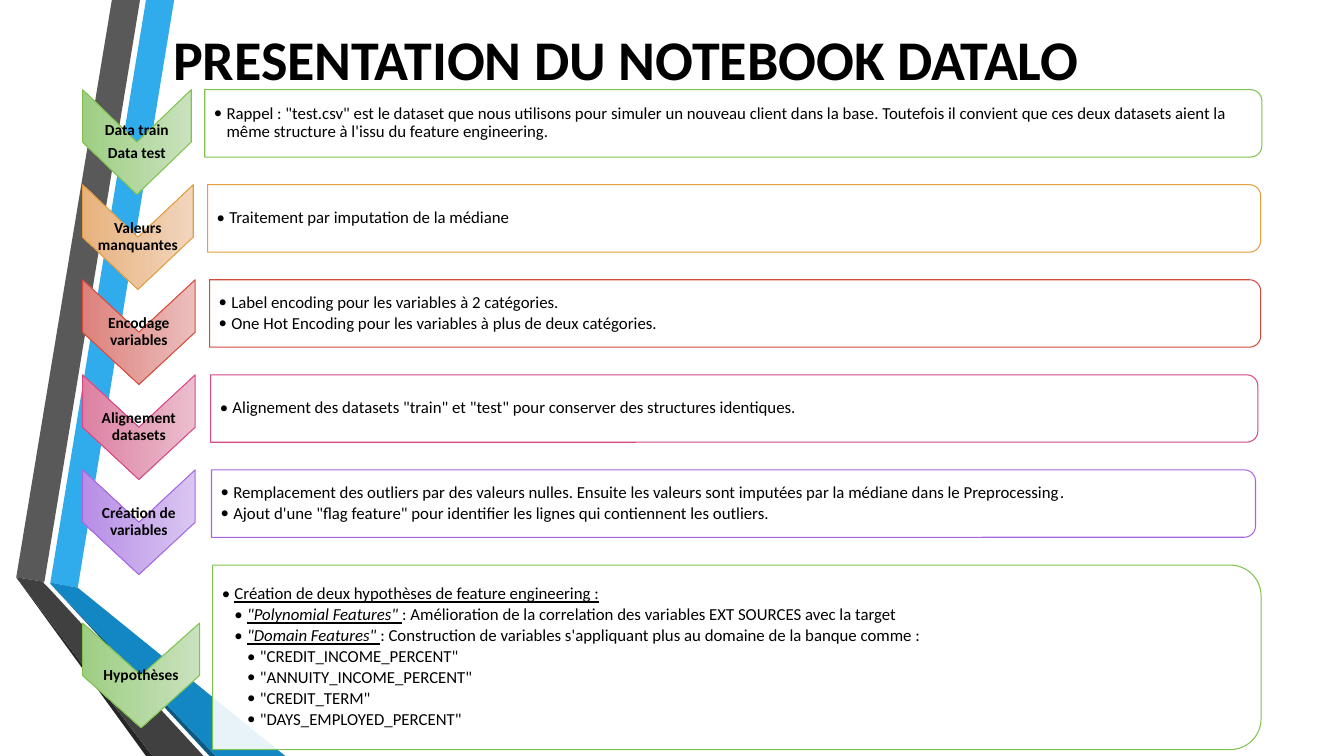
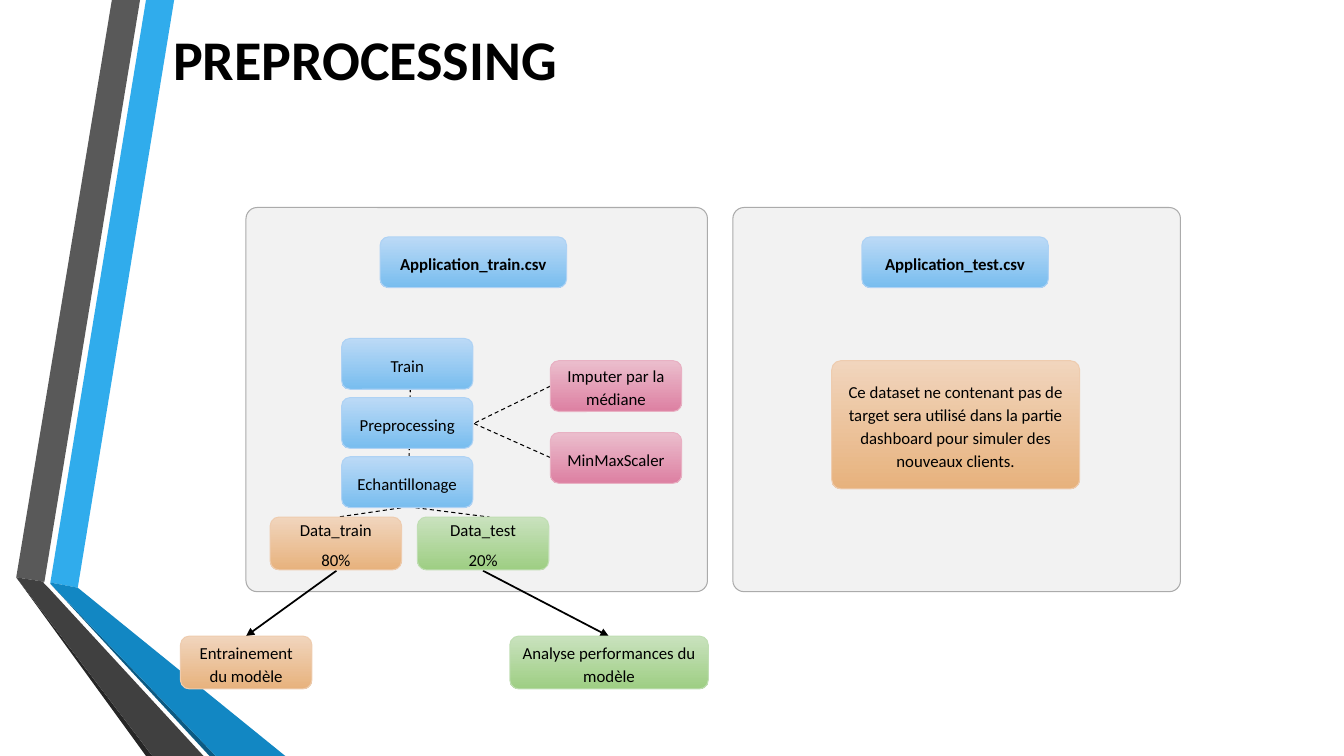
from lxml.etree import SubElement as Sub
from pptx import Presentation
from pptx.dml.color import RGBColor
from pptx.enum.dml import MSO_LINE as Dash
from pptx.enum.shapes import MSO_CONNECTOR as Link, MSO_SHAPE as Form
from pptx.enum.text import MSO_ANCHOR as Anchor, MSO_AUTO_SIZE as Fit, PP_ALIGN as Align
from pptx.oxml.ns import qn
from pptx.util import Cm, Pt

# Colours: gradient top, gradient bottom, strong edge, pale edge
TONES = {
    "green": ("C9E2BE", "9ECE83", "80C34F", "C0DEB3"),
    "orange": ("F1D5BD", "E7B27D", "E29D3E", "EECCAF"),
    "red": ("EBBEBC", "DD817C", "D64A3B", "E8B1C3"),
    "pink": ("EBBECD", "DD80A2", "D64787", "E8B1C3"),
    "violet": ("D9C6F1", "B88EE6", "A666E1", "D9C6F1"),
    "blue": ("BCDAF6", "78BDEF", "78BDEF", "AED2F4"),
}
INK = "000000"
MARKS = {"b": "bold", "i": "italic", "u": "underline"}

# Text formats: size, frame margins and paragraph values
TIGHT = dict.fromkeys(
    ("margin_left", "margin_top", "margin_right", "margin_bottom"), Cm(0.03))
HEAD = (40, {}, {"alignment": Align.LEFT})
STEP = (11, TIGHT, {"alignment": Align.CENTER, "line_spacing": 0.9,
                    "space_after": Pt(4)})
LIST = (12, TIGHT | {"margin_left": Cm(0.23)},
        {"alignment": Align.LEFT, "line_spacing": 0.9, "space_after": Pt(2)})
PAIR = (12, {}, {"alignment": Align.CENTER, "line_spacing": 1.15,
                 "space_before": Pt(5)})
NODE = (12, {}, PAIR[2] | {"space_after": Pt(10)})


def hue(code):
    return RGBColor.from_string(code)


def add(slide, form, box, fills, edge, turn=0):
    shape = slide.shapes.add_shape(form, *map(Cm, box))
    shape.shadow.inherit = False
    shape.rotation = turn
    if len(fills) == 2:
        shape.fill.gradient()
        shape.fill.gradient_angle = 270
        for stop, code in zip(shape.fill.gradient_stops, fills):
            stop.color.rgb = hue(code)
    else:
        shape.fill.solid()
        shape.fill.fore_color.rgb = hue(fills[0])
    shape.line.color.rgb = hue(edge)
    shape.line.width = Pt(0.75)
    return shape


deck = Presentation()
deck.slide_width, deck.slide_height = Cm(33.87), Cm(19.05)
base = deck.slide_layouts[5]
name = base.placeholders[0]
name.left, name.top, name.width, name.height = map(Cm, (4.11, 0, 27.84, 2.95))

steps, prep = [deck.slides.add_slide(base) for _ in range(2)]
texts = [  # frame, paragraphs as (level, runs), format
    (steps.shapes.title.text_frame,
     [(0, [("PRESENTATION DU NOTEBOOK DATALO", "b")])], HEAD),
    (prep.shapes.title.text_frame, [(0, [("PREPROCESSING", "b")])], HEAD),
]

# Ribbons, kept on the shared layout
ribbons = [
    ("30ACEC", [(1.27, 14.68), (1.96, 14.81), (4.39, 0), (3.68, 0)]),
    ("595959", [(3.53, 0), (2.82, 0), (0.41, 14.55), (1.12, 14.66)]),
    ("262626", [(0.41, 14.55), (3.68, 19.05), (3.84, 19.05)]),
    ("0C5A82", [(1.27, 14.71), (5.28, 19.05), (5.44, 19.05)]),
    ("1287C3", [(1.27, 14.71), (5.44, 19.05), (7.19, 19.05), (1.96, 14.81),
                (1.27, 14.68)]),
    ("404040", [(5.13, 19.05), (1.22, 14.81), (1.09, 14.68), (1.12, 14.66),
                (0.41, 14.55), (3.84, 19.05)]),
]
for code, spots in ribbons:
    spots = [(Cm(x), Cm(y)) for x, y in spots]
    pen = steps.shapes.build_freeform(*spots[0])
    pen.add_line_segments(spots[1:], close=True)
    band = pen.convert_to_shape()
    band.shadow.inherit = False
    band.fill.solid()
    band.fill.fore_color.rgb = hue(code)
    band.line.fill.background()
    base.shapes.element.append(band.element)

# Slide 1: tone, arrow width, panel left and width, labels, list
rows = [
    ("green", 2.74, 5.16, 26.64, ["Data train", "Data test"], [
        (1, [("Rappel : \"test.csv\" est le dataset que nous utilisons pour "
              "simuler un nouveau client dans la base. Toutefois il convient "
              "que ces deux datasets aient la même structure à l'issu du "
              "feature engineering.", "")])]),
    ("orange", 2.79, 5.23, 26.54, ["Valeurs manquantes"], [
        (1, [("Traitement par imputation de la médiane", "")])]),
    ("red", 2.84, 5.28, 26.49, ["Encodage variables"], [
        (1, [("Label encoding pour les variables à 2 catégories.", "")]),
        (1, [("One Hot Encoding pour les variables à plus de deux "
              "catégories.", "")])]),
    ("pink", 2.84, 5.31, 26.39, ["Alignement datasets"], [
        (1, [("Alignement des datasets \"train\" et \"test\" pour conserver "
              "des structures identiques.", "")])]),
    ("violet", 2.84, 5.33, 26.31, ["Création de variables"], [
        (1, [("Remplacement des outliers par des valeurs nulles. Ensuite les "
              "valeurs sont imputées par la médiane dans le Preprocessing", ""),
             (".", "i")]),
        (1, [("Ajout d'une \"flag feature\" pour identifier les lignes qui "
              "contiennent les outliers.", "")])]),
    ("green", 2.95, 5.36, 26.42, ["Hypothèses"], [
        (1, [("Création de deux hypothèses de feature engineering :", "u")]),
        (2, [("\"Polynomial Features\" ", "iu"),
             (": Amélioration de la correlation des variables EXT SOURCES "
              "avec la target", "")]),
        (2, [("\"Domain Features\" ", "iu"),
             (": Construction de variables s'appliquant plus au domaine de la "
              "banque comme :", "")])]
     + [(3, [(f"\"{word}\"", "")]) for word in (
         "CREDIT_INCOME_PERCENT", "ANNUITY_INCOME_PERCENT", "CREDIT_TERM",
         "DAYS_EMPLOYED_PERCENT")]),
]
LEFT, TALL = 2.08, 2.64
for i, (tone, wide, left, span, labels, items) in enumerate(rows):
    top, high, shift = 2.26 + 2.395 * i, 1.7, 0
    if i == len(rows) - 1:
        top, high, shift = 14.24, 4.65, 1.46
    light, dark, edge, _ = TONES[tone]
    # A box turned by 90 degrees swaps its sides around its centre
    parts = [
        (Form.CHEVRON, (LEFT, top + shift, wide, TALL), (light, dark),
         [(0, [(label, "b")]) for label in labels], STEP),
        (Form.ROUND_2_SAME_RECTANGLE, (left, top, span, high), ("FFFFFF",),
         items, LIST),
    ]
    for form, (x, y, w, h), fills, paras, style in parts:
        box = (x + (w - h) / 2, y + (h - w) / 2, h, w)
        shape = add(steps, form, box, fills, edge, 90)
        if style is LIST:
            color = shape.element.spPr.find(qn("a:solidFill"))[0]
            Sub(color, qn("a:alpha")).set("val", "90000")
        note = steps.shapes.add_textbox(*map(Cm, (x, y, w, h)))
        texts.append((note.text_frame, paras, style))

# Slide 2: panels
for left, wide in ((18.47, 11.28), (6.2, 11.63)):
    panel = add(prep, Form.ROUNDED_RECTANGLE, (left, 5.23, wide, 9.68),
                ("F2F2F2",), "ABABAB")
    panel.adjustments[0] = 0.029

# Slide 2: dashed links and arrows
links = [
    (10.34, 9.78, 10.31, 11.53, False),
    (10.29, 12.77, 8.51, 13.03, False),
    (10.29, 12.77, 12.34, 13.03, False),
    (13.87, 9.73, 11.94, 10.67, False),
    (13.87, 11.53, 11.94, 10.67, False),
    (8.48, 14.38, 6.2, 16.03, True),
    (12.17, 14.38, 15.34, 16.03, True),
]
for *ends, arrow in links:
    link = prep.shapes.add_connector(Link.STRAIGHT, *map(Cm, ends))
    link.line.color.rgb = hue(INK)
    link.line.width = Pt(1.25 if arrow else 0.75)
    if arrow:
        Sub(link.line._get_or_add_ln(), qn("a:tailEnd")).set("type", "triangle")
    else:
        link.line.dash_style = Dash.DASH
    Sub(link.element.spPr, qn("a:effectLst"))

# Slide 2: nodes
nodes = [
    ("blue", (9.58, 5.97, 4.7, 1.28), ["Application_train.csv"], "b", NODE),
    ("blue", (21.72, 5.97, 4.7, 1.28), ["Application_test.csv"], "b", NODE),
    ("pink", (13.87, 9.09, 3.31, 1.28), ["Imputer par la médiane"], "", NODE),
    ("pink", (13.87, 10.9, 3.31, 1.28), ["MinMaxScaler"], "", NODE),
    ("orange", (6.81, 13.03, 3.31, 1.33), ["Data_train", "80%"], "", PAIR),
    ("green", (10.52, 13.03, 3.31, 1.33), ["Data_test", "20%"], "", PAIR),
    ("orange", (4.55, 16.03, 3.31, 1.33), ["Entrainement du modèle"], "", PAIR),
    ("green", (12.85, 16.03, 5, 1.33), ["Analyse performances du modèle"], "",
     PAIR),
    ("orange", (20.96, 9.09, 6.25, 3.23),
     ["Ce dataset ne contenant pas de target sera utilisé dans la partie "
      "dashboard pour simuler des nouveaux clients."], "", NODE),
]
for i, word in enumerate(("Train", "Preprocessing", "Echantillonage")):
    nodes.append(("blue", (8.61, 8.53 + 1.49 * i, 3.31, 1.28), [word], "", NODE))
for tone, box, lines, marks, style in nodes:
    light, dark, _, edge = TONES[tone]
    node = add(prep, Form.ROUNDED_RECTANGLE, box, (light, dark), edge)
    if box[3] > 2:
        node.adjustments[0] = 0.072
    paras = [(0, [(line, marks)]) for line in lines]
    texts.append((node.text_frame, paras, style))

# Write all the text
for frame, paras, (size, margins, values) in texts:
    frame.word_wrap, frame.auto_size = True, Fit.NONE
    frame.vertical_anchor = Anchor.MIDDLE
    for key, value in margins.items():
        setattr(frame, key, value)
    for i, (level, runs) in enumerate(paras):
        para = frame.add_paragraph() if i else frame.paragraphs[0]
        for key, value in values.items():
            setattr(para, key, value)
        if level:
            para.level = level
            props = para._p.get_or_add_pPr()
            props.set("marL", str(Cm(0.32 * level)))
            props.set("indent", str(Cm(-0.32)))
            Sub(props, qn("a:buFont")).set("typeface", "Calibri")
            Sub(props, qn("a:buChar")).set("char", "•")
        for words, marks in runs:
            run = para.add_run()
            run.text = words
            run.font.name, run.font.size = "Calibri", Pt(size)
            run.font.color.rgb = hue(INK)
            for mark in marks:
                setattr(run.font, MARKS[mark], True)

deck.save("out.pptx")
